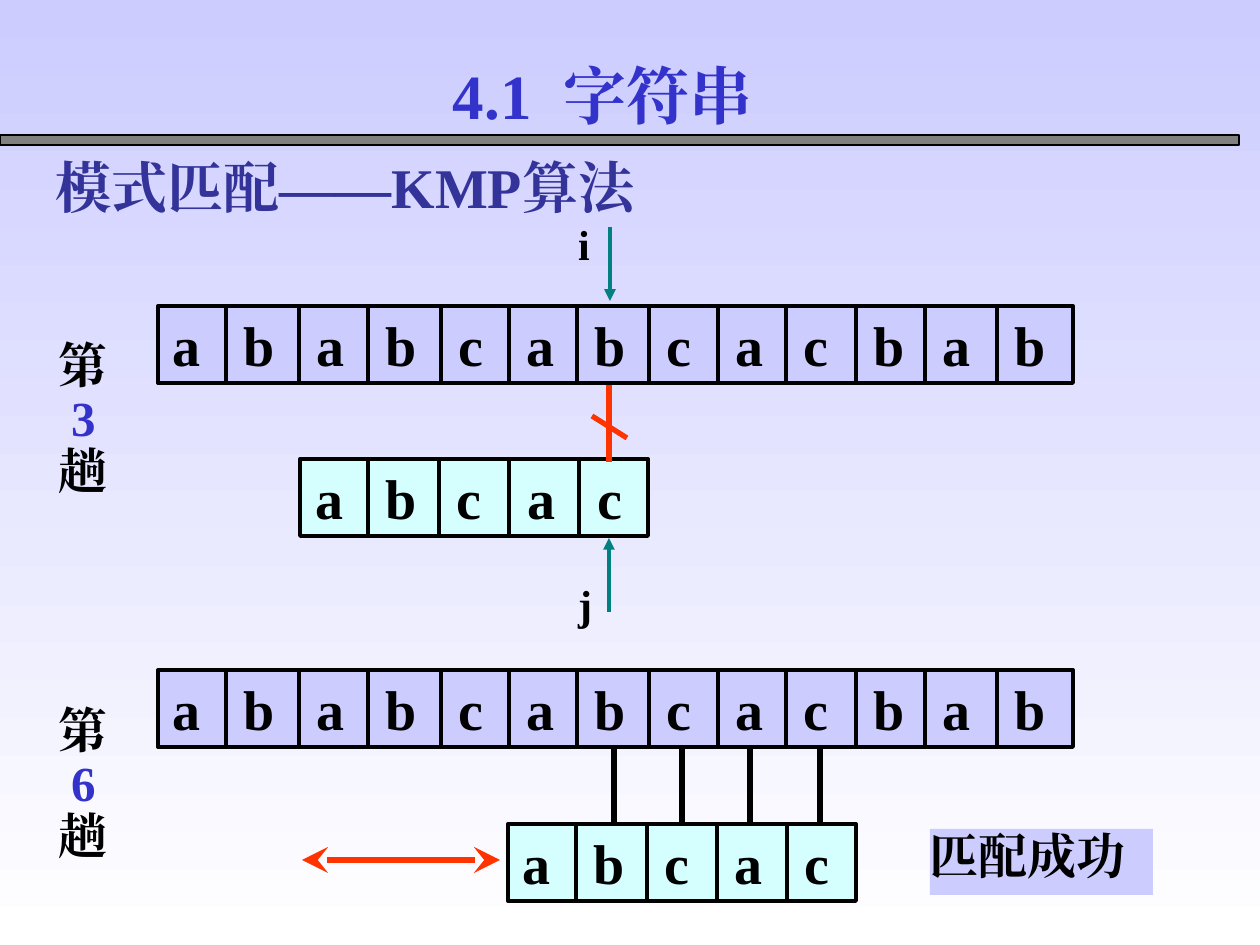
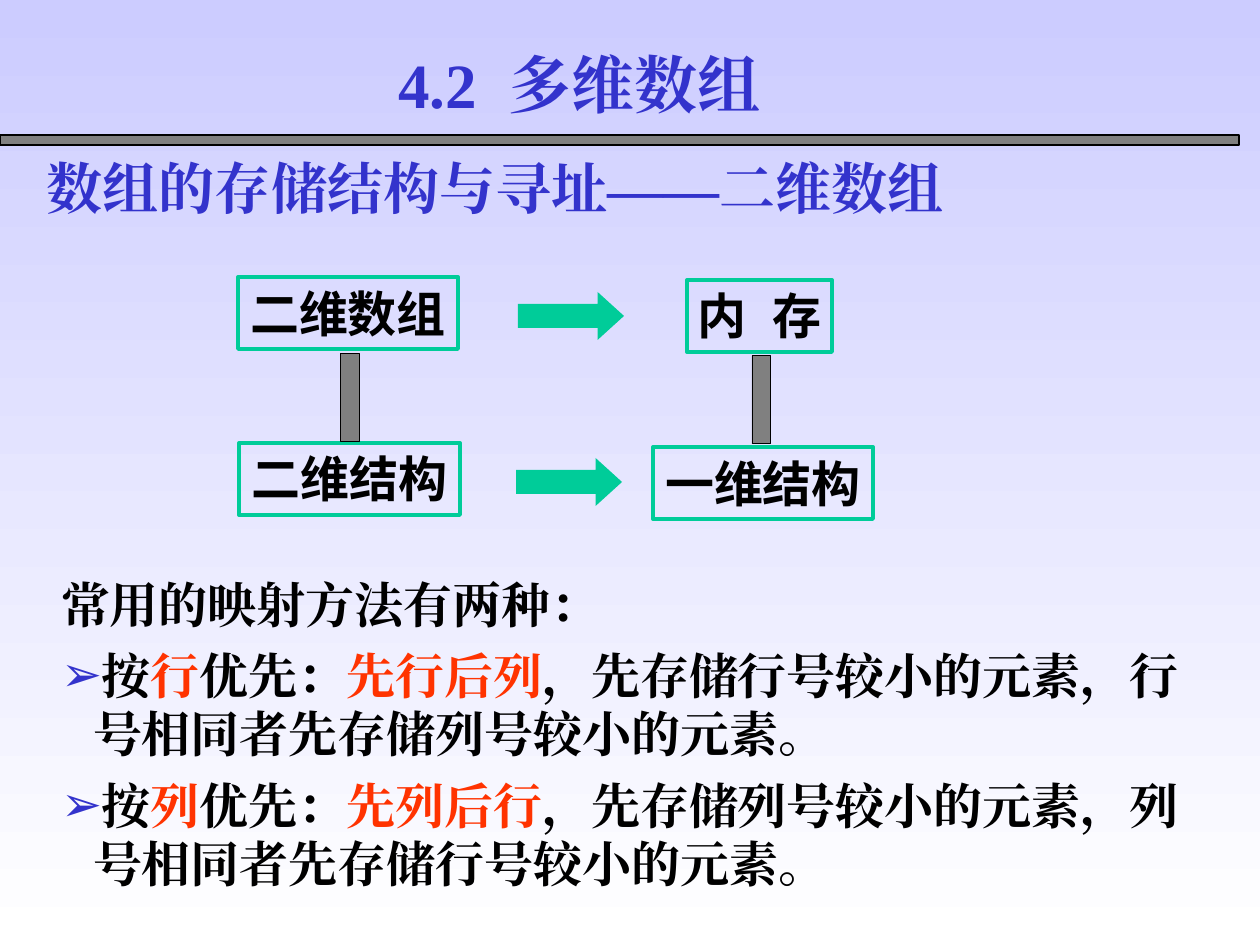
import pptx
import pptx.util
import pptx.dml.color
import pptx.enum.dml
import pptx.enum.shapes
import pptx.enum.text
import pptx.oxml
import pptx.oxml.ns
import lxml.etree

PX = 7257
COLORS = {
    "lavender": "CCCCFF", "white": "FFFFFF", "gray": "808080", "black": "000000",
    "blue": "3333CC", "navy": "333399", "cyan": "D5FFFF", "red": "FF3300",
    "teal": "008080", "green": "00CC99",
}
RGB = {name: pptx.dml.color.RGBColor.from_string(value) for name, value in COLORS.items()}
SERIF = "Times New Roman"
SANS = "Noto Sans CJK SC"
ALIGN = pptx.enum.text.PP_ALIGN
SHAPE = pptx.enum.shapes.MSO_SHAPE
qn = pptx.oxml.ns.qn


def add_box(slide, frame, fill=None, line=None, width=2.25, kind=SHAPE.RECTANGLE):
    box = slide.shapes.add_shape(kind, *[value * PX for value in frame])
    box.shadow.inherit = False
    if fill:
        box.fill.solid()
        box.fill.fore_color.rgb = RGB[fill]
    else:
        box.fill.background()
    if line:
        box.line.color.rgb = RGB[line]
        box.line.width = pptx.util.Pt(width)
    else:
        box.line.fill.background()
    return box


def write(shape, paragraphs, size, color="black", font=SERIF, align=ALIGN.LEFT,
          insets=(12, 6, 12, 6), spacing=None, tabs=(), wrap=True):
    frame = shape.text_frame
    frame.auto_size = pptx.enum.text.MSO_AUTO_SIZE.NONE
    frame.word_wrap = wrap
    frame.vertical_anchor = pptx.enum.text.MSO_ANCHOR.TOP
    frame.margin_left, frame.margin_top, frame.margin_right, frame.margin_bottom = [
        value * PX for value in insets]
    for index, runs in enumerate(paragraphs):
        paragraph = frame.paragraphs[0] if index == 0 else frame.add_paragraph()
        paragraph.alignment = align
        paragraph.space_before = pptx.util.Pt(0)
        paragraph.line_spacing = spacing
        properties = paragraph._p.get_or_add_pPr()
        if tabs:
            tab_list = lxml.etree.SubElement(properties, qn("a:tabLst"))
            for position in tabs:
                lxml.etree.SubElement(tab_list, qn("a:tab"), pos=str(position * PX), algn="l")
        paragraph.font.name = font
        paragraph.font.size = pptx.util.Pt(size)
        paragraph.font.bold = True
        paragraph.font.color.rgb = RGB[color]
        east_asian = lxml.etree.SubElement(properties.find(qn("a:defRPr")), qn("a:ea"))
        east_asian.set("typeface", font)
        for text, run_color in runs:
            run = paragraph.add_run()
            run.text = text
            if run_color:
                run.font.color.rgb = RGB[run_color]
            if text == " ":
                run._r.get_or_add_rPr().set("spc", str(size * 25))


presentation = pptx.Presentation()
presentation.slide_width = pptx.util.Inches(10)
presentation.slide_height = pptx.util.Inches(7.5)
master = presentation.slide_master
background = master.background.fill
background.gradient()
background.gradient_angle = 270
for stop, color in zip(background.gradient_stops, ("lavender", "white")):
    stop.color.rgb = RGB[color]
    stop.position = 0 if color == "lavender" else 1

slides = []
for layout, number, topic, title_frame, heading, heading_color, heading_frame in [
    (5, "4.1", "字符串", (369, 50, 467, 88), "模式匹配——KMP算法", "navy", (43, 147, 1029, 81)),
    (1, "4.2", "多维数组", (255, 40, 649, 88), "数组的存储结构与寻址——二维数组", "blue",
     (35, 148, 1113, 81)),
]:
    slide = presentation.slides.add_slide(presentation.slide_layouts[layout])
    slides.append(slide)
    title = slide.shapes.title
    title.left, title.top, title.width, title.height = [value * PX for value in title_frame]
    write(title, [[(number, None), (" ", None), (topic, None)]], 36, "blue", align=ALIGN.CENTER)
    for run in title.text_frame.paragraphs[0].runs:
        run._r.get_or_add_rPr().append(pptx.oxml.parse_xml(
            '<a:effectLst xmlns:a="http://schemas.openxmlformats.org/drawingml/2006/main">'
            '<a:outerShdw dist="35921" dir="2700000"><a:srgbClr val="808080"/></a:outerShdw>'
            '</a:effectLst>'))
    write(add_box(slide, heading_frame), [[(heading, None)]], 32, heading_color)

kmp_slide, array_slide = slides
band = add_box(kmp_slide, (0, 135, 1239, 10), "gray", "black", 0.75)
master.shapes.element.append(band.element)

text_edges = [0, 68, 141, 210, 283, 351, 419, 491, 560, 628, 698, 767, 839, 915]
pattern_edges = [0, 68, 139, 209, 279, 348]
strokes = []
for letters, left, top, edges, fill in [
    ("ababcabcacbab", 158, 306, text_edges, "lavender"),
    ("abcac", 300, 459, pattern_edges, "cyan"),
    ("ababcabcacbab", 158, 670, text_edges, "lavender"),
    ("abcac", 508, 824, pattern_edges, "cyan"),
]:
    row = add_box(kmp_slide, (left, top, edges[-1], 77), fill, "black")
    write(row, [[("\t".join(letters), None)]], 32, insets=(15, 5, 0, 0),
          tabs=[edge + 3 for edge in edges[1:-1]])
    strokes += [(left + edge, top, left + edge, top + 77, "black", 2.25, None, None)
                for edge in edges[1:-1]]

strokes += [(x, 748, x, 822, "black", 3, None, None) for x in (614, 682, 750, 820)]
strokes += [
    (609, 385, 609, 462, "red", 3, None, None),
    (592, 416, 627, 438, "red", 3, None, None),
    (610, 227, 610, 301, "teal", 2.25, None, "triangle"),
    (609, 612, 609, 538, "teal", 2.25, None, "triangle"),
    (302, 860, 500, 860, "red", 3, "stealth", "stealth"),
]
for x1, y1, x2, y2, color, width, head, tail in strokes:
    connector = kmp_slide.shapes.add_connector(
        pptx.enum.shapes.MSO_CONNECTOR.STRAIGHT, x1 * PX, y1 * PX, x2 * PX, y2 * PX)
    connector.line.color.rgb = RGB[color]
    connector.line.width = pptx.util.Pt(width)
    outline = connector.line._get_or_add_ln()
    for tag, arrow in (("a:headEnd", head), ("a:tailEnd", tail)):
        if arrow:
            size = "lg" if arrow == "stealth" else "med"
            lxml.etree.SubElement(outline, qn(tag), type=arrow, w=size, len=size)
    lxml.etree.SubElement(connector._element.spPr, qn("a:effectLst"))

for label, top in (("i", 213), ("j", 573)):
    write(add_box(kmp_slide, (578, top, 32, 63)), [[(label, None)]], 24, insets=(0, 6, 0, 6))
for number, top in (("3", 335), ("6", 700)):
    write(add_box(kmp_slide, (47, top, 89, 171)),
          [[("第", None)], [(number, "blue")], [("趟", None)]], 28,
          align=ALIGN.CENTER, insets=(12, 6, 28, 6), spacing=0.9)
write(add_box(kmp_slide, (930, 829, 223, 66), "lavender"), [[("匹配成功", None)]], 28,
      insets=(0, 0, 0, 0), spacing=0.96)

for runs, frame in [
    ([("二维数组", None)], (238, 277, 220, 72)),
    ([("内", None), (" ", None), ("存", None)], (687, 280, 145, 72)),
    ([("二维结构", None)], (239, 443, 221, 72)),
    ([("一维结构", None)], (653, 447, 220, 72)),
]:
    write(add_box(array_slide, frame, line="green"), [runs], 28, font="Arial",
          align=ALIGN.CENTER, wrap=False)
for left, top in ((518, 292), (516, 458)):
    arrow = add_box(array_slide, (left, top, 106, 48), "green", kind=SHAPE.RIGHT_ARROW)
    arrow.adjustments[1] = 0.55
for left, top in ((340, 354), (752, 356)):
    add_box(array_slide, (left, top, 19, 88), "gray", "black", 0.5)

body = array_slide.placeholders[1]
body.left, body.top, body.width, body.height = 49 * PX, 568 * PX, 1144 * PX, 331 * PX
methods = [
    [("按", None), (first, "red"), ("优先：", None), (f"先{first}后{second}", "red"),
     (f"，先存储{first}号较小的元素，{first}号相同者先存储{second}号较小的元素。", None)]
    for first, second in ("行列", "列行")
]
write(body, [[("常用的映射方法有两种：", None)]] + methods, 28)
for index, paragraph in enumerate(body.text_frame.paragraphs):
    properties = paragraph._p.get_or_add_pPr()
    indent = 32 * PX if index else 0
    properties.set("marL", str(indent))
    properties.set("indent", str(-indent))
    defaults = properties.find(qn("a:defRPr"))
    if index == 0:
        defaults.addprevious(lxml.etree.Element(qn("a:buNone")))
        continue
    paragraph.space_before = pptx.util.Pt(7)
    bullet_color = lxml.etree.Element(qn("a:buClr"))
    lxml.etree.SubElement(bullet_color, qn("a:srgbClr"), val=COLORS["blue"])
    defaults.addprevious(bullet_color)
    defaults.addprevious(lxml.etree.Element(qn("a:buChar"), char="➢"))
    paragraph.runs[3].font.name = SANS

presentation.save("out.pptx")
